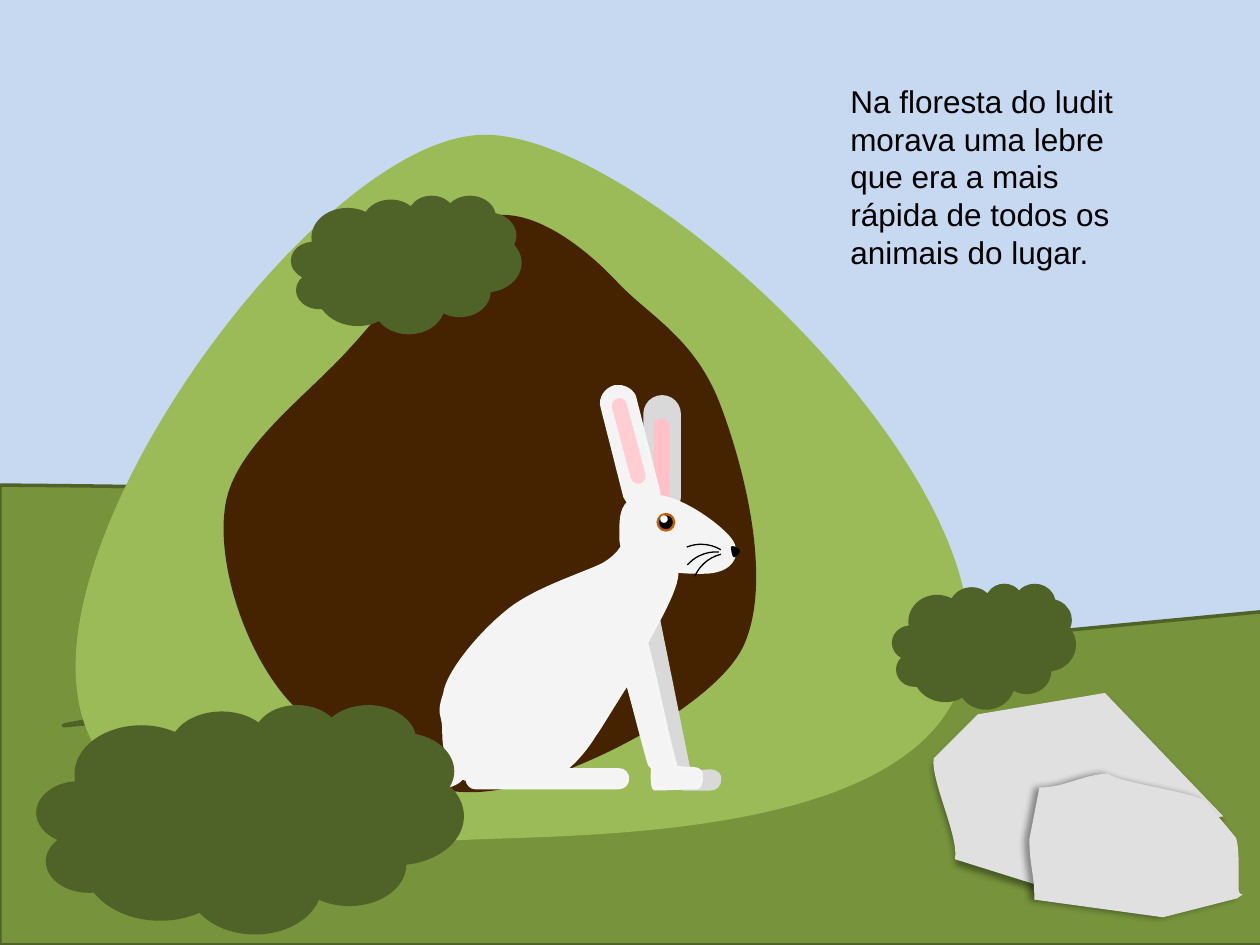
from lxml import etree
from pptx import Presentation
from pptx.dml.color import RGBColor
from pptx.enum.shapes import MSO_SHAPE
from pptx.enum.text import MSO_AUTO_SIZE
from pptx.oxml.ns import qn
from pptx.util import Emu, Pt

CLOUD, ARC = MSO_SHAPE.CLOUD, MSO_SHAPE.ARC
OVAL, PILL = MSO_SHAPE.OVAL, MSO_SHAPE.ROUNDED_RECTANGLE
GROW = MSO_AUTO_SIZE.SHAPE_TO_FIT_TEXT

# The slide is a grid of 1000 columns by 750 rows, 100 to the inch
CELL, COLUMNS, ROWS = 9144, 1000, 750
BLANK_LAYOUT = 6

COLORS = {
    "sky": "C6D9F1", "meadow": "77933C", "leaf": "4F6228", "stone": "E0E0E0",
    "mound": "9BBB59", "cave": "462300", "text": "000000", "black": "000000",
    "fur": "F4F4F4", "fur_edge": "F5F5F5", "far_fur": "D9D9D9",
    "far_ear": "FFC1C7", "near_ear": "FFCDD2", "iris": "C45D08", "glint": "FFFFFF",
}
STORY = ("Na floresta do ludit morava uma lebre que era a mais rápida "
         "de todos os animais do lugar.")

# Outlines: a start point, then lines (x, y) or curves (two controls and an end)
MEADOW = [(0, 385), (1393, 395, 16, 574, 51, 576), (1017, 484), (1020, 750), (0, 750)]
BACK_ROCK = [
    (776, 567), (877, 550), (971, 648), (945, 650, 952, 688, 925, 690),
    (897, 686, 866, 712, 838, 707), (758, 682), (761, 663, 739, 621, 741, 602),
]
FRONT_ROCK = [
    (825, 625), (846, 625, 858, 615, 879, 614), (891, 622, 945, 628, 957, 636),
    (981, 665), (984, 673, 983, 698, 983, 706), (984, 714, 991, 706, 982, 713),
    (923, 728), (821, 714), (821, 693, 817, 687, 817, 666),
]
MOUND = [
    (60, 529), (60, 375, 264, 111, 382, 107), (500, 103, 769, 350, 769, 504),
    (769, 659, 500, 662, 382, 666), (264, 671, 60, 684, 60, 529),
]
CAVE = [
    (179, 400), (187, 354, 243, 315, 278, 276), (313, 238, 352, 180, 387, 172),
    (423, 163, 466, 198, 491, 225), (517, 252, 552, 269, 572, 322),
    (592, 375, 614, 465, 589, 515), (563, 564, 447, 622, 387, 628),
    (327, 635, 264, 594, 229, 556), (195, 518, 171, 447, 179, 400),
]
FAR_LEG = [
    (515, 485), (512, 485), (508, 486, 506, 489, 507, 492), (531, 616),
    (532, 619, 533, 620, 536, 620), (536, 624, 539, 626, 543, 626), (564, 626),
    (568, 626, 571, 623, 571, 619), (572, 615, 568, 612, 564, 612), (547, 613),
    (522, 489), (522, 486, 518, 484, 515, 485),
]
BODY = [
    # near ear and back
    (493, 307), (491, 307, 490, 307, 488, 307), (481, 309, 476, 316, 478, 323),
    (496, 394), (499, 399), (492, 405, 493, 417, 493, 429),
    (493, 431, 494, 433, 494, 434), (492, 437, 489, 442, 479, 448),
    (463, 456, 423, 468, 402, 486), (381, 503, 355, 534, 353, 551),
    (348, 566, 351, 566, 352, 574), (353, 583, 351, 592, 357, 603),
    # tail and hind leg
    (354, 603, 352, 603, 349, 602), (341, 602, 319, 604, 319, 608),
    (319, 611, 341, 623, 349, 624), (355, 625, 363, 622, 367, 617), (371, 619),
    (371, 622, 374, 625, 377, 625), (399, 625), (401, 625, 403, 625, 405, 625),
    (491, 625), (495, 625, 498, 622, 498, 618), (498, 614, 495, 611, 491, 611),
    (448, 611), (457, 604, 466, 593, 472, 583), (474, 581, 487, 559, 498, 542),
    # near front leg
    (504, 563, 509, 584, 515, 605), (515, 606, 516, 608, 518, 609),
    (518, 612, 517, 626, 520, 626), (528, 626, 545, 625, 553, 625),
    (557, 625, 557, 615, 556, 613), (555, 610, 550, 610, 546, 610), (535, 609),
    (535, 608, 536, 608, 536, 607), (528, 578, 521, 540, 513, 510),
    # chest and head
    (521, 495, 538, 466, 537, 454), (537, 453), (544, 454, 552, 454, 558, 454),
    (582, 454, 587, 439, 580, 429), (574, 420, 545, 397, 522, 394),
    (523, 392, 523, 390, 522, 388), (504, 317), (503, 311, 498, 308, 493, 307),
]
NOSE = [
    (586, 440), (587, 439, 588, 437, 587, 436), (586, 435, 581, 432, 580, 434),
    (580, 435, 581, 441, 582, 442), (583, 443, 585, 441, 586, 440),
]


def rgb(name):
    return RGBColor.from_string(COLORS[name])


def grid(*cells):
    return [Emu(cell * CELL) for cell in cells]


def paint(shape, fill=None, edge=None, weight=2):
    shape.shadow.inherit = False
    if fill:
        shape.fill.solid()
        shape.fill.fore_color.rgb = rgb(fill)
    else:
        shape.fill.background()
    if edge:
        shape.line.color.rgb = rgb(edge)
        shape.line.width = Pt(weight)
    else:
        shape.line.fill.background()
    return shape


def add_preset(shapes, kind, box, fill=None, edge=None, weight=2, turn=0, adjust=()):
    shape = shapes.add_shape(kind, *grid(*box))
    shape.rotation = turn
    for index, value in enumerate(adjust):
        shape.adjustments[index] = value
    return paint(shape, fill, edge, weight)


def add_outline(shapes, outline, fill, edge=None):
    """Join the anchor points, then bend the segments that have controls."""
    anchors = [segment[-2:] for segment in outline]
    builder = shapes.build_freeform(*anchors[0], scale=CELL)
    builder.add_line_segments(anchors[1:], close=True)
    shape = builder.convert_to_shape()
    left, top = (min(axis) for axis in zip(*anchors))
    lines = list(shape._element.iter(qn("a:lnTo")))
    for line, segment in zip(lines, outline[1:]):
        if len(segment) == 6:
            curve = etree.Element(qn("a:cubicBezTo"))
            for x, y in zip(segment[::2], segment[1::2]):
                etree.SubElement(curve, qn("a:pt"), x=str(x - left), y=str(y - top))
            line.getparent().replace(line, curve)
    return paint(shape, fill, edge)


def add_shadow(shape, direction):
    effects = shape._element.spPr.find(qn("a:effectLst"))
    shadow = etree.SubElement(
        effects, qn("a:outerShdw"), blurRad=str(Pt(4)), dist=str(Pt(3)),
        dir=str(direction * 60000), algn="ctr", rotWithShape="0")
    color = etree.SubElement(shadow, qn("a:srgbClr"), val=COLORS["black"])
    etree.SubElement(color, qn("a:alpha"), val="40000")


def add_story(shapes):
    frame = shapes.add_textbox(*grid(665, 60, 249, 162)).text_frame
    frame.word_wrap = True
    frame.auto_size = GROW
    run = frame.paragraphs[0].add_run()
    run.text = STORY
    run.font.name = "Arial"
    run.font.size = Pt(18)
    run.font.color.rgb = rgb("text")


def add_hare(shapes):
    hare = shapes.add_group_shape().shapes
    # Far leg and ear, then the body over them
    add_outline(hare, FAR_LEG, "far_fur", "far_fur")
    add_preset(hare, PILL, (512, 315, 27, 93), "far_fur", "far_fur", adjust=[0.5])
    add_preset(hare, PILL, (519, 332, 12, 70), "far_ear", adjust=[0.5])
    add_outline(hare, BODY, "fur", "fur_edge")
    add_preset(hare, PILL, (493, 315, 12, 70), "near_ear", turn=345.1, adjust=[0.5])
    add_outline(hare, NOSE, "black")
    # Whiskers
    for left, top, turn in [(526, 432, 30.9), (538, 438, 4), (549, 439, 346.2)]:
        add_preset(hare, ARC, (left, top, 61, 61), edge="black", weight=0.75,
                   turn=turn, adjust=[130.26, 162])
    # Eye
    for left, top, size, color in [(521, 407, 15, "iris"), (523, 409, 11, "black"),
                                   (524, 409, 6, "glint")]:
        add_preset(hare, OVAL, (left, top, size, size), color)


def main():
    deck = Presentation()
    deck.slide_width, deck.slide_height = grid(COLUMNS, ROWS)
    slide = deck.slides.add_slide(deck.slide_layouts[BLANK_LAYOUT])
    slide.background.fill.solid()
    slide.background.fill.fore_color.rgb = rgb("sky")
    shapes = slide.shapes

    # Landscape
    add_outline(shapes, MEADOW, "meadow", "leaf")
    for rock, direction in [(BACK_ROCK, 90), (FRONT_ROCK, 180)]:
        add_shadow(add_outline(shapes, rock, "stone"), direction)
    add_outline(shapes, MOUND, "mound")
    add_outline(shapes, CAVE, "cave")
    for bush in [(231, 155, 183, 110), (708, 463, 146, 100)]:
        add_preset(shapes, CLOUD, bush, "leaf")

    # Story, hare and the bush in front of it
    add_story(shapes)
    add_hare(shapes)
    add_preset(shapes, CLOUD, (29, 559, 339, 182), "leaf")
    deck.save("out.pptx")


if __name__ == "__main__":
    main()
